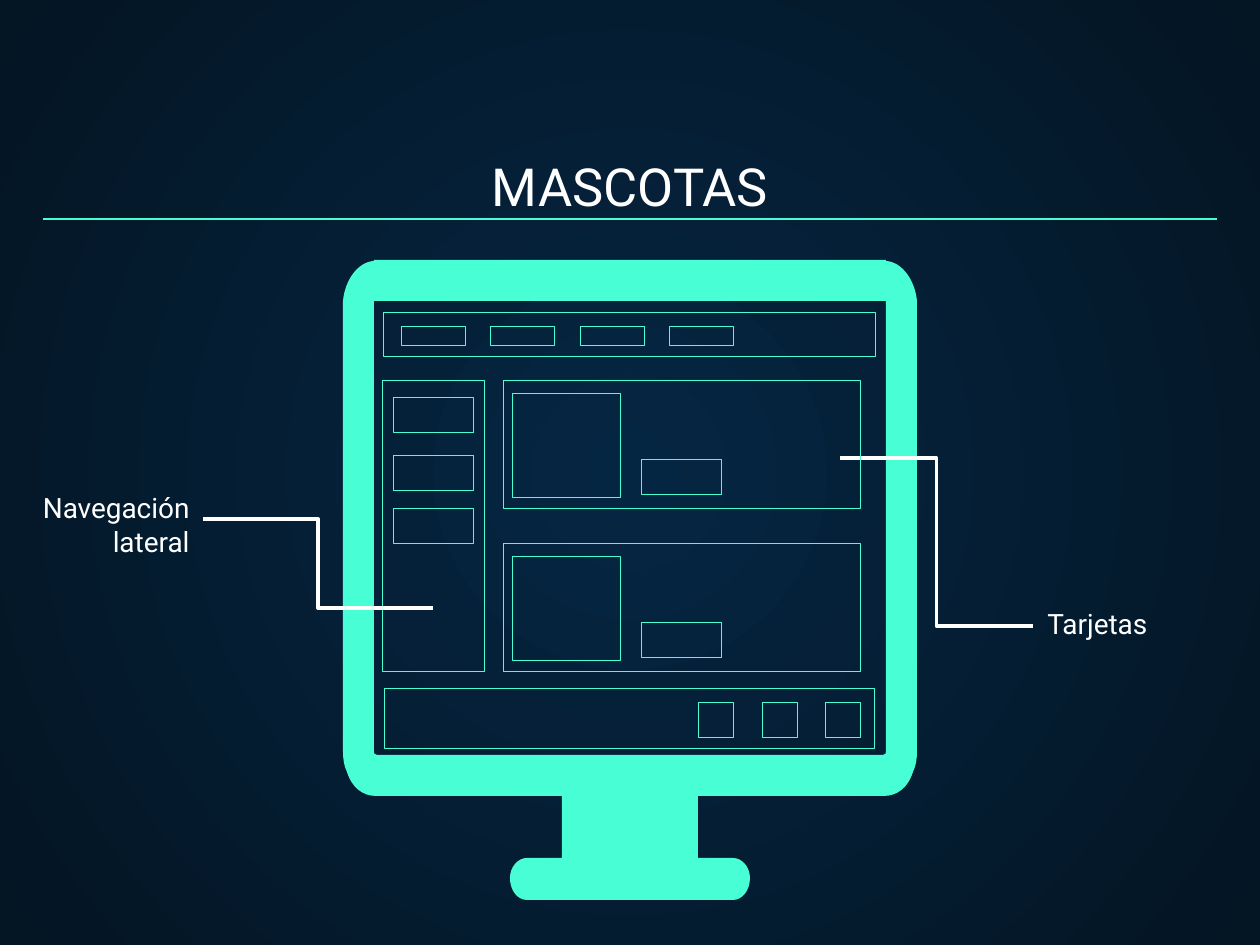
from dataclasses import dataclass
from pptx import Presentation
from pptx.dml.color import RGBColor as RGB
from pptx.enum.shapes import MSO_CONNECTOR as LINK, MSO_SHAPE as SHAPE
from pptx.enum.text import MSO_ANCHOR as ANCHOR, PP_ALIGN as ALIGN
from pptx.oxml import parse_xml
from pptx.oxml.ns import nsdecls, qn
from pptx.util import Emu, Pt


@dataclass
class Theme:
    mint: RGB = RGB(0x48, 0xFF, 0xD5)
    white: RGB = RGB(0xFF, 0xFF, 0xFF)
    glow: RGB = RGB(0x05, 0x26, 0x43)
    edge: RGB = RGB(0x04, 0x15, 0x23)
    font: str = "Roboto"
    title: int = 30
    label: int = 16
    thin: float = 0.75
    thick: float = 2.25


theme = Theme()
SCALE = 914400 / 126


def text(words, box, size=theme.label, align=ALIGN.LEFT, anchor=ANCHOR.TOP):
    frame = slide.shapes.add_textbox(*[Emu(round(n * SCALE)) for n in box]).text_frame
    frame.word_wrap = True
    frame.vertical_anchor = anchor
    frame.margin_left = frame.margin_right = Pt(7.2)
    frame.margin_top = frame.margin_bottom = Pt(7.2)
    para = frame.paragraphs[0]
    para.alignment = align
    run = para.add_run()
    run.text = words
    run.font.name = theme.font
    run.font.size = Pt(size)
    run.font.color.rgb = theme.white


def link(kind, ends, color, width):
    line = slide.shapes.add_connector(kind, *[Emu(round(n * SCALE)) for n in ends])
    line.line.color.rgb = color
    line.line.width = Pt(width)
    line._element.spPr.append(parse_xml(f"<a:effectLst {nsdecls('a')}/>"))


deck = Presentation()
deck.slide_width = Emu(round(1260 * SCALE))
deck.slide_height = Emu(round(945 * SCALE))
slide = deck.slides.add_slide(deck.slide_layouts[6])

fill = slide.background.fill
fill.gradient()
for stop, color in zip(fill.gradient_stops, (theme.glow, theme.edge)):
    stop.color.rgb = color
lin = slide.element.find(".//" + qn("a:lin"))
lin.getparent().replace(lin, parse_xml(
    f'<a:path {nsdecls("a")} path="circle">'
    '<a:fillToRect l="50000" t="50000" r="50000" b="50000"/></a:path>'))

text("MASCOTAS", (43, 119, 1174, 111), size=theme.title,
     align=ALIGN.CENTER, anchor=ANCHOR.BOTTOM)

shell = [[(256, 260)], [(256, 261)], [(272, 262), (285, 280), (287, 301)],
         [(287, 305)], [(287, 751)], [(287, 759), (286, 766), (283, 772)],
         [(278, 788), (267, 796), (254, 796)],
         [(68, 796)], [(68, 858)], [(103, 858)],
         [(112, 858), (120, 867), (120, 878)],
         [(120, 891), (112, 900), (103, 900)]]
screen = [[(256, 301)], [(256, 305)], [(256, 751)],
          [(256, 753), (256, 755), (253, 755)]]
loops = []
for half in (screen, shell):
    flip = [[(-x, y) for x, y in step] for step in half]
    steps = half + [[flip[-1][-1]]]
    for last, step in zip(flip[-2::-1], flip[:0:-1]):
        steps.append(step[-2::-1] + [last[-1]])
    loops.append([[((630 + x) * SCALE, y * SCALE) for x, y in step] for step in steps])

inner, outer = loops
pen = slide.shapes.build_freeform(*inner[0][0], scale=1.0)
pen.add_line_segments([step[-1] for step in inner[1:]], close=True)
pen.move_to(*outer[0][0])
pen.add_line_segments([step[-1] for step in outer[1:]], close=True)
frame = pen.convert_to_shape()
for side, step in zip(list(frame._element.iter(qn("a:lnTo"))), inner[1:] + outer[1:]):
    if len(step) == 3:
        side.tag = qn("a:cubicBezTo")
        for spot, (x, y) in enumerate(step[:2]):
            side.insert(spot, parse_xml(
                f'<a:pt {nsdecls("a")} x="{round(x - frame.left)}" y="{round(y - frame.top)}"/>'))
frame.shadow.inherit = False
frame.fill.solid()
frame.fill.fore_color.rgb = theme.mint
frame.line.fill.background()

link(LINK.ELBOW, (840, 458, 1033, 626), theme.white, theme.thick)
link(LINK.STRAIGHT, (43, 219, 1217, 219), theme.mint, theme.thin)

boxes = [(383, 312, 492, 44), (382, 380, 102, 291), (384, 688, 490, 60)]
boxes += [(401 + round(i * 89.4), 326, 64, 19) for i in range(4)]
boxes += [(393, y, 80, 35) for y in (397, 455, 508)]
boxes += [(x, 702, 35, 35) for x in (698, 762, 825)]
for y in (380, 543):
    boxes += [(503, y, 357, 128), (512, y + 13, 108, 104), (641, y + 79, 80, 35)]
for x, y, w, h in boxes:
    rect = slide.shapes.add_shape(
        SHAPE.RECTANGLE, *[Emu(round(n * SCALE)) for n in (x + 0.5, y + 0.5, w, h)])
    rect.shadow.inherit = False
    rect.fill.background()
    rect.line.color.rgb = theme.mint
    rect.line.width = Pt(theme.thin)

text("Tarjetas", (1035, 594, 181, 32))
text("Navegación lateral", (23, 478, 179, 81), align=ALIGN.RIGHT)
link(LINK.ELBOW, (203, 519, 433, 608), theme.white, theme.thick)

deck.save("out.pptx")
